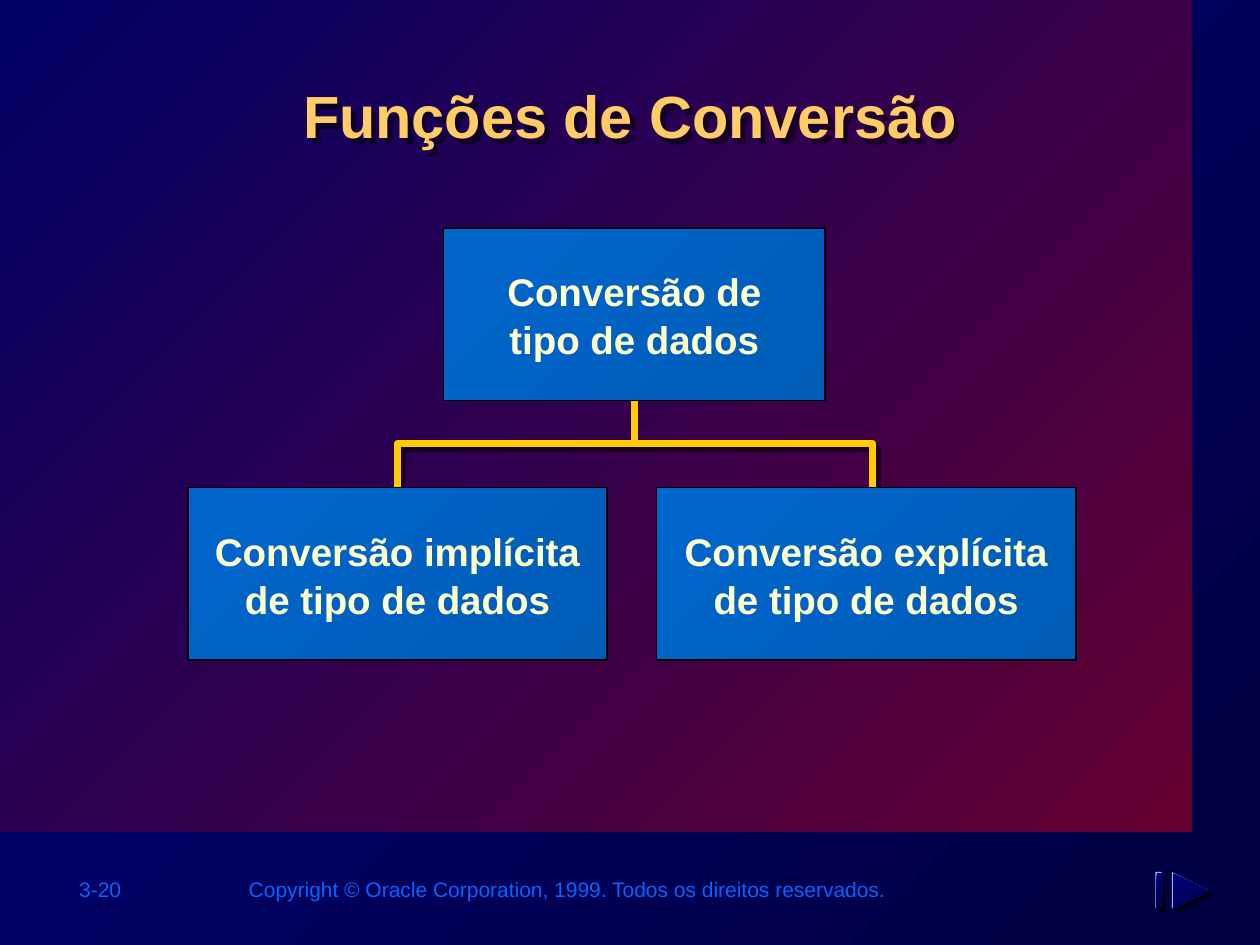
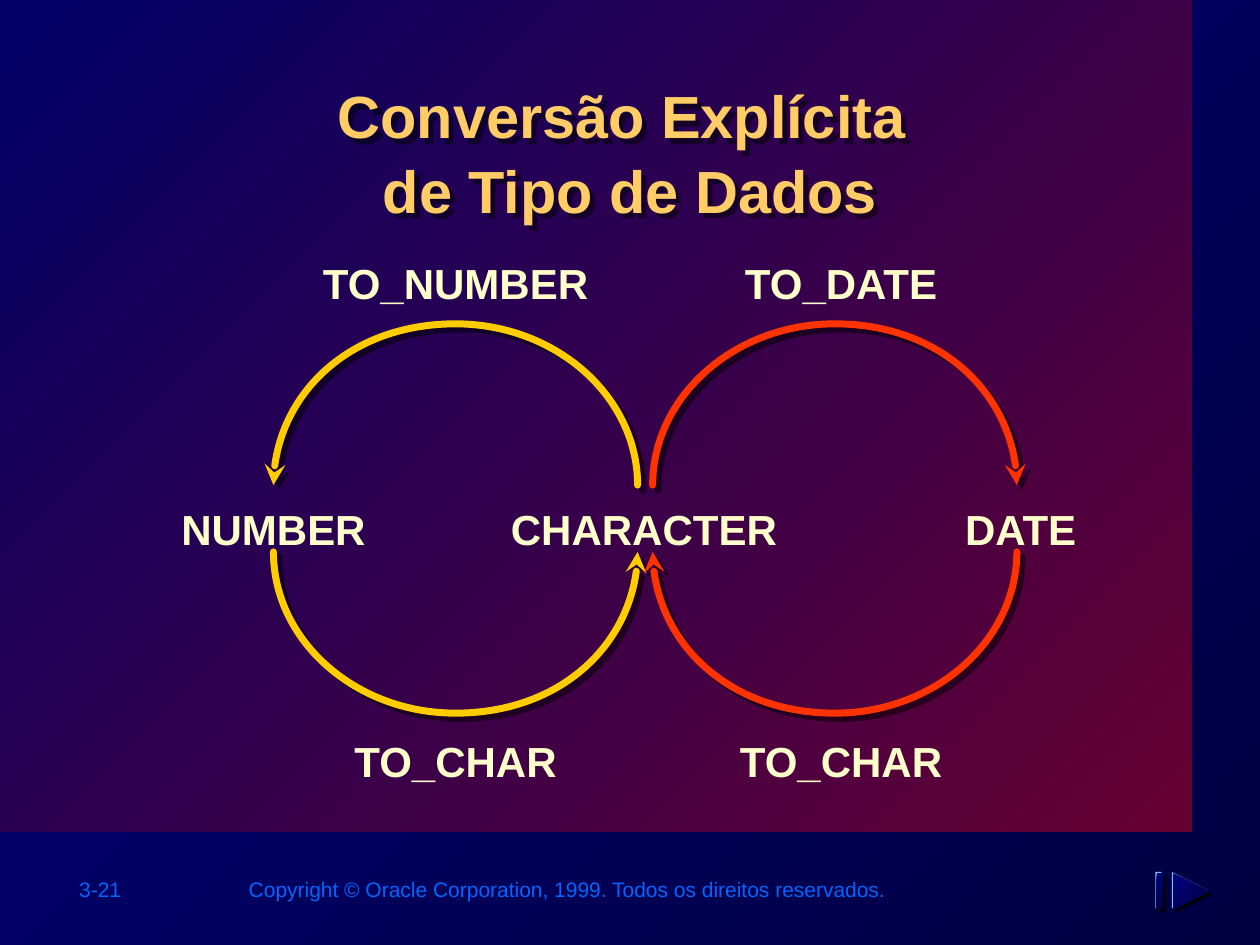
from dataclasses import dataclass

from lxml.etree import SubElement
from pptx import Presentation
from pptx.dml.color import RGBColor
from pptx.enum.shapes import MSO_CONNECTOR, MSO_SHAPE
from pptx.enum.text import MSO_ANCHOR as Anchor, PP_ALIGN as Align
from pptx.oxml.ns import qn
from pptx.util import Inches, Pt


@dataclass(frozen=True)
class Theme:
    font: str = "Arial"
    line_spacing: float = 1.04
    background: tuple = ("000080", "000040")
    panel: tuple = ("000066", "660033")
    node: tuple = ("0066CC", "005CB7")
    title: str = "FFCC66"
    text: str = "FFFFCC"
    footer: str = "0066FF"
    yellow: str = "FFCC00"
    red: str = "FF3300"
    black: str = "000000"
    highlight: str = "7FC1EB"
    title_size: int = 34
    label_size: int = 24
    node_size: int = 22
    footer_size: int = 12
    stroke: int = 4


THEME = Theme()
COPYRIGHT = "Copyright © Oracle Corporation, 1999. Todos os direitos reservados."
CURVE = 0.55  # control point distance of a quarter ellipse, as a share of its radius


def set_fill(fill, colour):
    """Fill with one colour, or with a diagonal gradient for a pair of colours."""
    if isinstance(colour, str):
        fill.solid()
        fill.fore_color.rgb = RGBColor.from_string(colour)
        return
    fill.gradient()
    fill.gradient_angle = 315
    for stop, stop_colour in zip(fill.gradient_stops, colour):
        stop.color.rgb = RGBColor.from_string(stop_colour)


def set_line(line, colour, width):
    set_fill(line.fill, colour)
    line.width = Pt(width)


def add_shadow(shape):
    shape.shadow.inherit = False
    effects = shape._element.spPr.find(qn("a:effectLst"))
    shadow = SubElement(effects, qn("a:outerShdw"), blurRad="0", dist=str(Pt(4.2)),
                        dir="2700000", algn="ctr", rotWithShape="0")
    colour = SubElement(shadow, qn("a:srgbClr"), val=THEME.black)
    SubElement(colour, qn("a:alpha"), val="50000")


def write_text(frame, lines, size, colour, align=Align.CENTER, bold=True):
    """Write the lines as one paragraph with line breaks."""
    paragraph = frame.paragraphs[0]
    paragraph.alignment = align
    paragraph.line_spacing = THEME.line_spacing
    for index, line in enumerate(lines):
        if index:
            paragraph.add_line_break()
        run = paragraph.add_run()
        run.text = line
        run.font.name = THEME.font
        run.font.size = Pt(size)
        run.font.bold = bold
        run.font.color.rgb = RGBColor.from_string(colour)


def add_text(slide, box, lines, size, colour, **style):
    shape = slide.shapes.add_textbox(*map(Inches, box))
    shape.text_frame.word_wrap = True
    write_text(shape.text_frame, lines, size, colour, **style)
    return shape


def add_rectangle(slide, box, colour):
    shape = slide.shapes.add_shape(MSO_SHAPE.RECTANGLE, *map(Inches, box))
    shape.shadow.inherit = False
    set_fill(shape.fill, colour)
    shape.line.fill.background()
    return shape


def add_outline(slide, points, close=False):
    start, *others = [(Inches(x), Inches(y)) for x, y in points]
    builder = slide.shapes.build_freeform(*start)
    builder.add_line_segments(others, close=close)
    shape = builder.convert_to_shape()
    shape.shadow.inherit = False
    return shape


def add_stroke(slide, points, colour):
    shape = add_outline(slide, points)
    shape.fill.background()
    set_line(shape.line, colour, THEME.stroke)
    add_shadow(shape)
    return shape


def add_forward_icon(slide, left, top):
    """Bar and triangle, each embossed from three shifted layers."""
    size = 0.29
    layers = ((0.03, THEME.black), (0, THEME.highlight), (0.01, THEME.background))
    for shift, colour in layers:
        x, y = left + shift, top + shift
        add_rectangle(slide, (x, y, 0.05, size), colour)
        base = x + 0.13
        corners = [(base + size, y + size / 2), (base, y), (base, y + size)]
        triangle = add_outline(slide, corners, close=True)
        set_fill(triangle.fill, colour)
        triangle.line.fill.background()


def add_footer(slide, top, page):
    add_text(slide, (0.53, top, 1.11, 0.3), [page], THEME.footer_size, THEME.footer,
             align=Align.LEFT, bold=False)
    add_text(slide, (1.83, top, 5.3, 0.3), [COPYRIGHT], THEME.footer_size, THEME.footer,
             align=Align.RIGHT, bold=False)
    add_forward_icon(slide, 9.17, top + 0.02)


def add_base_slide(presentation, page, title_lines):
    slide = presentation.slides.add_slide(presentation.slide_layouts[6])
    set_fill(slide.background.fill, THEME.background)
    add_rectangle(slide, (0, 0, 9.46, 6.6), THEME.panel)
    add_footer(slide, 6.9, page)
    title = add_text(slide, (1.01, 0.56, 7.98, 0.96), title_lines,
                     THEME.title_size, THEME.title)
    add_shadow(title)
    return slide


def add_node(slide, box, lines):
    shape = add_rectangle(slide, box, THEME.node)
    set_line(shape.line, THEME.black, 1)
    shape.text_frame.word_wrap = False
    shape.text_frame.vertical_anchor = Anchor.MIDDLE
    write_text(shape.text_frame, lines, THEME.node_size, THEME.text)


def add_tree(slide, left, top):
    """One parent node above two child nodes, joined by a bracket."""
    height, child_width, parent_width, child_step = 1.37, 3.33, 3.03, 3.72
    child_top, bracket_top = top + 2.06, top + 1.71
    middle = left + (child_step + child_width) / 2 + 0.02
    first, last = left + child_width / 2, left + child_step + child_width / 2 + 0.05

    stem = slide.shapes.add_connector(
        MSO_CONNECTOR.STRAIGHT,
        *map(Inches, (middle, bracket_top, middle, top + height / 2)))
    set_line(stem.line, THEME.yellow, THEME.stroke)
    SubElement(stem._element.spPr, qn("a:effectLst"))
    bracket = [(first, child_top + 0.2), (first, bracket_top),
               (last, bracket_top), (last, child_top + 0.2)]
    add_stroke(slide, bracket, THEME.yellow)

    for index, kind in enumerate(("implícita", "explícita")):
        add_node(slide, (left + index * child_step, child_top, child_width, height),
                 [f"Conversão {kind}", "de tipo de dados"])
    add_node(slide, (middle - parent_width / 2, top, parent_width, height),
             ["Conversão de", "tipo de dados"])


def add_label(slide, centre, top, text):
    width = 2.85
    add_text(slide, (centre - width / 2, top, width, 0.5), [text],
             THEME.label_size, THEME.text)


def add_arc_arrow(slide, start_x, end_x, base, peak, colour):
    """Half ellipse from start to end on the base line, with an arrowhead at its end."""
    middle, reach = (start_x + end_x) / 2, (end_x - start_x) / 2
    bend_y, bend_x = base + (peak - base) * CURVE, reach * (1 - CURVE)
    points = [(start_x, base), (start_x, bend_y), (start_x + bend_x, peak), (middle, peak),
              (end_x - bend_x, peak), (end_x, bend_y), (end_x, base)]
    shape = add_stroke(slide, points, colour)

    outline = shape._element.spPr.find(".//" + qn("a:path"))
    segments = outline.findall(qn("a:lnTo"))
    for first in range(0, len(segments), 3):
        curve = SubElement(outline, qn("a:cubicBezTo"))
        for segment in segments[first:first + 3]:
            curve.append(segment[0])
            outline.remove(segment)

    line = shape.line._get_or_add_ln()
    line.set("cap", "rnd")
    SubElement(line, qn("a:tailEnd"), type="stealth")


def add_conversion_loop(slide, top, hub_x, type_x, colour, from_character):
    """Two arrows: from the character type above, and back to it below."""
    rise, gap = 1.28, 0.53
    upper_base = top + rise
    lower_base = upper_base + gap
    middle = (hub_x + type_x) / 2 + (0.05 if type_x > hub_x else 0)
    add_arc_arrow(slide, hub_x, type_x, upper_base, top, colour)
    add_arc_arrow(slide, type_x, hub_x, lower_base, lower_base + rise, colour)
    add_label(slide, middle, top - 0.59, from_character)
    add_label(slide, middle, lower_base + rise + 0.11, "TO_CHAR")


def build_tree_slide(presentation):
    slide = add_base_slide(presentation, "3-20", ["Funções de Conversão"])
    add_tree(slide, 1.49, 1.81)


def build_loops_slide(presentation):
    slide = add_base_slide(presentation, "3-21", ["Conversão Explícita ", "de Tipo de Dados"])
    for centre, data_type in ((2.17, "NUMBER"), (5.11, "CHARACTER"), (8.1, "DATE")):
        add_label(slide, centre, 3.93, data_type)
    add_conversion_loop(slide, 2.57, 5.06, 2.17, THEME.yellow, "TO_NUMBER")
    add_conversion_loop(slide, 2.57, 5.18, 8.07, THEME.red, "TO_DATE")


def main():
    presentation = Presentation()
    presentation.slide_width, presentation.slide_height = Inches(10), Inches(7.5)
    build_tree_slide(presentation)
    build_loops_slide(presentation)
    presentation.save("out.pptx")


if __name__ == "__main__":
    main()
